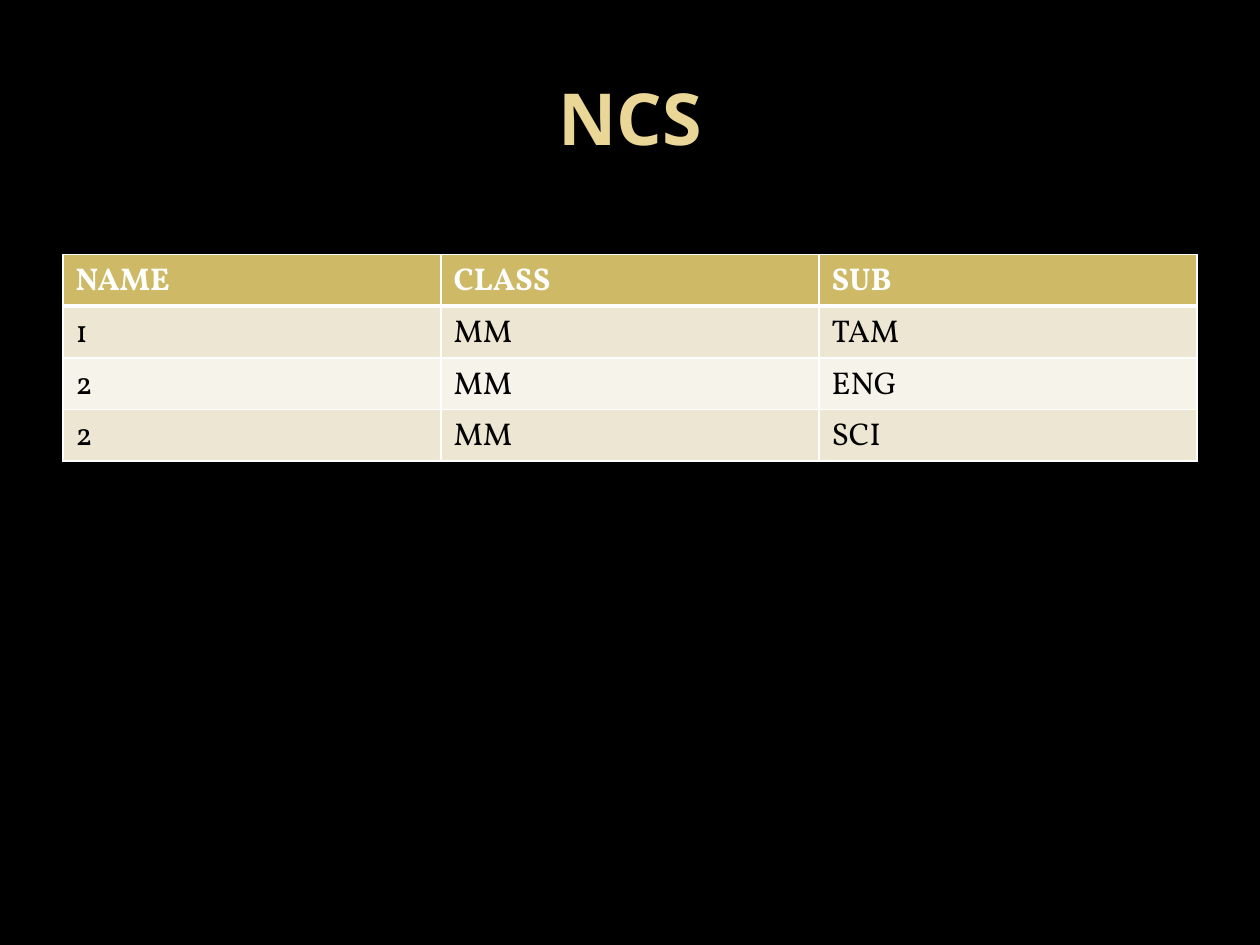
from lxml import etree
from pptx import Presentation
from pptx.dml.color import RGBColor
from pptx.enum.text import MSO_ANCHOR, PP_ALIGN
from pptx.oxml.ns import qn
from pptx.util import Inches, Pt

CENTER, MIDDLE = PP_ALIGN.CENTER, MSO_ANCHOR.MIDDLE
BLANK_LAYOUT = 6

# Content
TITLE = "NCS"
ROWS = [
    ("NAME", "CLASS", "SUB"),
    ("1", "MM", "TAM"),
    ("2", "MM", "ENG"),
    ("2", "MM", "SCI"),
]

# Style and layout, in inches and points
BLACK, WHITE, TITLE_GOLD = "000000", "FFFFFF", "EAD696"
HEADER_FILL, BAND_FILLS = "CEB966", ("EDE6D3", "F6F3EA")
WIDTH, HEIGHT, MARGIN = 10, 7.5, 0.5
TITLE_TOP, TITLE_HEIGHT = 0.3, 1.25
TABLE_TOP, ROW_HEIGHT = 2.02, 0.41
THIN, THICK = 1, 3


def color(value):
    return RGBColor.from_string(value)


def format_text(text_frame, font_name, size, value, bold):
    for run in text_frame.paragraphs[0].runs:
        font = run.font
        font.name, font.size, font.bold = font_name, Pt(size), bold
        font.color.rgb = color(value)


def add_borders(cell, top, bottom):
    properties = cell._tc.get_or_add_tcPr()
    sides = (("a:lnL", THIN), ("a:lnR", THIN), ("a:lnT", top), ("a:lnB", bottom))
    for side, width in sides:
        line = etree.SubElement(properties, qn(side), w=str(Pt(width)))
        fill = etree.SubElement(line, qn("a:solidFill"))
        etree.SubElement(fill, qn("a:srgbClr"), val=WHITE)


def add_title(slide):
    shape = slide.shapes.add_textbox(
        Inches(MARGIN), Inches(TITLE_TOP),
        Inches(WIDTH - 2 * MARGIN), Inches(TITLE_HEIGHT))
    text_frame = shape.text_frame
    text_frame.word_wrap = True
    text_frame.vertical_anchor = MIDDLE
    text_frame.text = TITLE
    text_frame.paragraphs[0].alignment = CENTER
    format_text(text_frame, "Noto Sans", 41, TITLE_GOLD, True)


def add_class_table(slide):
    table = slide.shapes.add_table(
        len(ROWS), len(ROWS[0]), Inches(MARGIN), Inches(TABLE_TOP),
        Inches(WIDTH - 2 * MARGIN), Inches(ROW_HEIGHT * len(ROWS))).table
    for row, values in enumerate(ROWS):
        header = row == 0
        for column, value in enumerate(values):
            cell = table.cell(row, column)
            cell.text = value
            format_text(cell.text_frame, "Vollkorn", 18,
                        WHITE if header else BLACK, header)
            # The thick rule separates the header from the body
            add_borders(cell, THICK if row == 1 else THIN,
                        THICK if header else THIN)
            cell.fill.solid()
            cell.fill.fore_color.rgb = color(
                HEADER_FILL if header else BAND_FILLS[(row - 1) % 2])


def main():
    presentation = Presentation()
    presentation.slide_width = Inches(WIDTH)
    presentation.slide_height = Inches(HEIGHT)
    slide = presentation.slides.add_slide(presentation.slide_layouts[BLANK_LAYOUT])
    slide.background.fill.solid()
    slide.background.fill.fore_color.rgb = color(BLACK)
    add_title(slide)
    add_class_table(slide)
    presentation.save("out.pptx")


if __name__ == "__main__":
    main()
